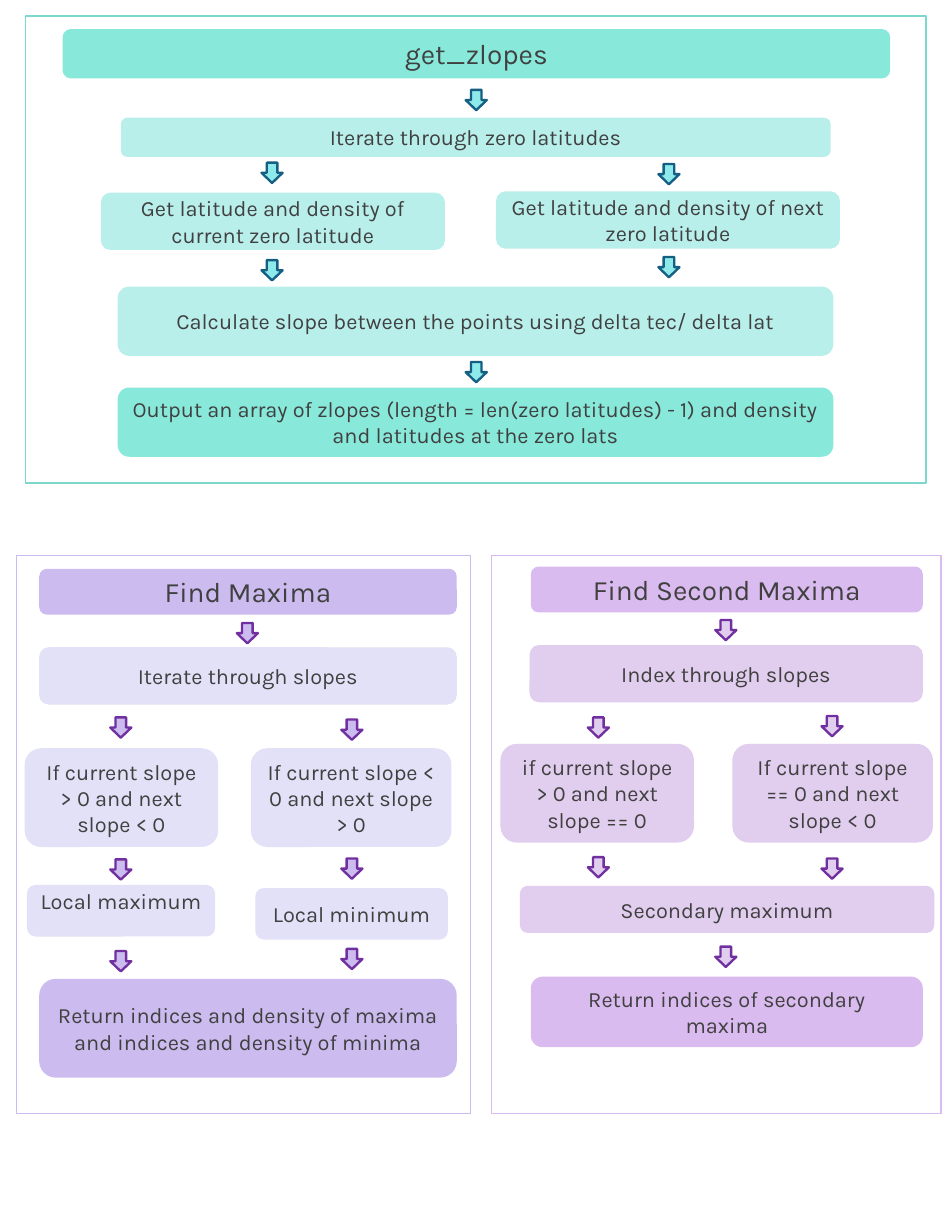
from pptx import Presentation
from pptx.dml.color import RGBColor
from pptx.enum.shapes import MSO_SHAPE
from pptx.enum.text import MSO_ANCHOR, PP_ALIGN
from pptx.util import Cm, Pt

RECTANGLE = MSO_SHAPE.RECTANGLE
ROUNDED = MSO_SHAPE.ROUNDED_RECTANGLE
ARROW = MSO_SHAPE.RIGHT_ARROW
MIDDLE, TOP = MSO_ANCHOR.MIDDLE, MSO_ANCHOR.TOP
CENTER = PP_ALIGN.CENTER

FONT = "Karla"
TEXT_COLOR = "404040"
HEADING_SIZE, STEP_SIZE = 18, 14
ARROW_WIDTH, ARROW_HEIGHT = 0.46, 0.48

# All positions are left, top, width, height in centimetres.
# Arrows are given as column left -> tops of the arrows in that column.
ZLOPES = {
    "frame": (0.58, 0.36, 20.42, 10.59), "frame_color": "7CD7CD",
    "strong": "88E9DB", "light": "B9EFEB",
    "arrow_fill": "8EE9EA", "arrow_line": "156082",
    "heading": ("get_zlopes", (1.42, 0.66, 18.77, 1.12)),
    "steps": [
        ("Iterate through zero latitudes", (2.74, 2.67, 16.1, 0.89)),
        ("Get latitude and density of current zero latitude", (2.29, 4.37, 7.8, 1.3)),
        ("Get latitude and density of next zero latitude", (11.25, 4.34, 7.8, 1.3)),
        ("Calculate slope between the points using delta tec/ delta lat",
         (2.67, 6.5, 16.23, 1.57)),
    ],
    "result": ("Output an array of zlopes (length = len(zero latitudes) - 1) "
               "and density and latitudes at the zero lats", (2.67, 8.79, 16.23, 1.57)),
    "arrows": {10.57: (2.03, 8.2), 5.94: (3.68, 5.89), 14.94: (3.71, 5.82)},
}

MAXIMA = {
    "frame": (0.38, 12.6, 10.29, 12.65), "frame_color": "CBBCEF",
    "strong": "CBBBEF", "light": "E3E1F7",
    "arrow_fill": "CBBBEF", "arrow_line": "7030A0",
    "heading": ("Find Maxima", (0.89, 12.9, 9.47, 1.04)),
    "steps": [
        ("Iterate through slopes", (0.89, 14.68, 9.47, 1.3)),
        ("If current slope > 0 and next slope < 0", (0.56, 16.97, 4.39, 2.24)),
        ("If current slope < 0 and next slope > 0", (5.69, 16.97, 4.55, 2.24)),
        ("Local maximum", (0.61, 20.07, 4.27, 1.17), TOP),
        ("Local minimum", (5.79, 20.14, 4.37, 1.17)),
    ],
    "result": ("Return indices and density of maxima and indices and density of minima",
               (0.89, 22.2, 9.47, 2.24)),
    "arrows": {5.38: (14.12,), 2.51: (16.26, 19.48, 21.56), 7.75: (16.31, 19.46, 21.51)},
}

SECOND_MAXIMA = {
    "frame": (11.15, 12.6, 10.19, 12.65), "frame_color": "DABBEF",
    "strong": "DABBEF", "light": "E1CDEE",
    "arrow_fill": "E1CDEE", "arrow_line": "7030A0",
    "heading": ("Find Second Maxima", (12.04, 12.85, 8.89, 1.04)),
    "steps": [
        ("Index through slopes", (12.01, 14.63, 8.92, 1.3)),
        ("if current slope > 0 and next slope == 0", (11.35, 16.87, 4.39, 2.24)),
        ("If current slope == 0 and next slope < 0", (16.61, 16.87, 4.55, 2.24)),
        ("Secondary maximum", (11.79, 20.09, 9.4, 1.07)),
    ],
    "result": ("Return indices of secondary maxima", (12.04, 22.15, 8.89, 1.6)),
    "arrows": {16.23: (14.05, 21.46), 13.34: (16.26, 19.43), 18.64: (16.23, 19.46)},
}


def rgb(color):
    return RGBColor.from_string(color)


def add_shape(group, kind, place, fill=None, line=None, line_width=1):
    """Add a preset shape without shadow; no colour means no fill or line."""
    shape = group.shapes.add_shape(kind, *(Cm(length) for length in place))
    shape.shadow.inherit = False
    if fill:
        shape.fill.solid()
        shape.fill.fore_color.rgb = rgb(fill)
    else:
        shape.fill.background()
    if line:
        shape.line.color.rgb = rgb(line)
        shape.line.width = Pt(line_width)
    else:
        shape.line.fill.background()
    return shape


def add_box(group, text, place, fill, size=STEP_SIZE, anchor=MIDDLE):
    """Add a rounded box with centred text."""
    box = add_shape(group, ROUNDED, place, fill)
    frame = box.text_frame
    frame.word_wrap = True
    frame.vertical_anchor = anchor
    if anchor == TOP:
        frame.margin_left = frame.margin_right = frame.margin_top = 0
    para = frame.paragraphs[0]
    para.alignment = CENTER
    span = para.add_run()
    span.text = text
    span.font.name = FONT
    span.font.size = Pt(size)
    span.font.color.rgb = rgb(TEXT_COLOR)


def add_down_arrow(group, left, top, fill, line):
    place = (left, top, ARROW_WIDTH, ARROW_HEIGHT)
    arrow = add_shape(group, ARROW, place, fill, line, 1.5)
    arrow.rotation = 90


def add_flowchart(page, chart):
    """Draw one framed flowchart as a group."""
    group = page.shapes.add_group_shape()
    add_shape(group, RECTANGLE, chart["frame"], line=chart["frame_color"])

    # Boxes
    add_box(group, *chart["heading"], chart["strong"], HEADING_SIZE)
    for text, place, *anchor in chart["steps"]:
        add_box(group, text, place, chart["light"], STEP_SIZE, *anchor)
    add_box(group, *chart["result"], chart["strong"])

    # Arrows between the boxes
    for left, tops in chart["arrows"].items():
        for top in tops:
            add_down_arrow(group, left, top, chart["arrow_fill"], chart["arrow_line"])


def main():
    deck = Presentation()
    deck.slide_width, deck.slide_height = Cm(21.59), Cm(27.94)
    page = deck.slides.add_slide(deck.slide_layouts[6])
    for chart in (ZLOPES, MAXIMA, SECOND_MAXIMA):
        add_flowchart(page, chart)
    deck.save("out.pptx")


if __name__ == "__main__":
    main()
